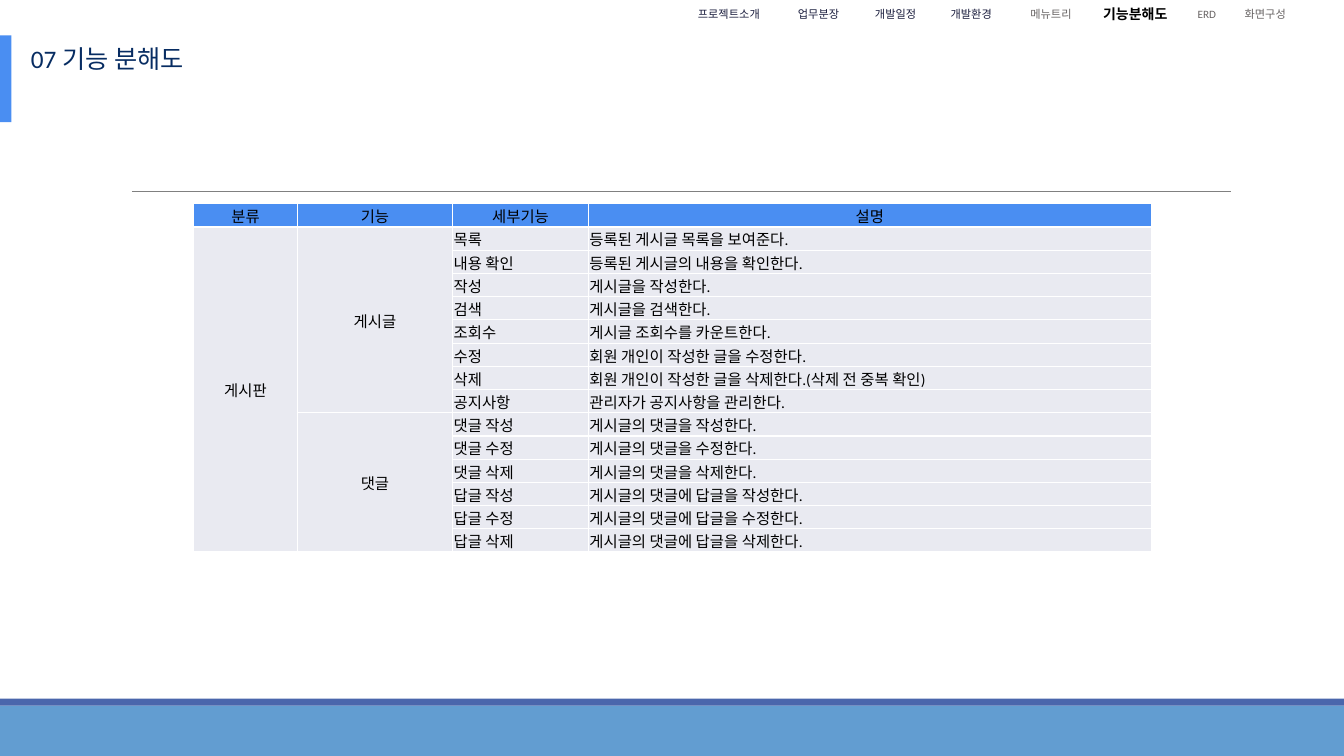
from dataclasses import dataclass

import pptx
import pptx.dml.color
import pptx.enum.shapes
import pptx.enum.text
import pptx.oxml
import pptx.oxml.ns
import pptx.util

Pt = pptx.util.Pt
Align = pptx.enum.text.PP_ALIGN
Anchor = pptx.enum.text.MSO_ANCHOR

FONT = "Calibri"
COLORS = {
    "footer": "629DD1", "footer_edge": "4A66AC", "rule": "808080",
    "accent": "4A8EF2", "title": "072C62", "visited": "1B1E3E",
    "upcoming": "686464", "black": "000000", "body": "E9EAF1",
    "white": "FFFFFF",
}


@dataclass
class Bar:
    left: float
    top: float
    width: float
    height: float
    color: str


@dataclass
class Label:
    text: str
    left: float
    top: float
    width: float
    height: float
    size: float
    color: str
    bold: bool = False
    inset: float = 0


@dataclass
class Feature:
    name: str
    details: list[tuple[str, str]]


BARS = [
    Bar(0, 504, 960, 36, "footer"),
    Bar(0, 499, 960, 5, "footer_edge"),
    Bar(0, 25.2, 8.2, 62, "accent"),
]

NAVIGATION = [
    ("프로젝트소개", 498.5, "visited"),
    ("업무분장", 570, "visited"),
    ("개발일정", 625, "visited"),
    ("개발환경", 679, "visited"),
    ("메뉴트리", 736, "upcoming"),
    ("기능분해도", 788, "black"),
    ("ERD", 855.5, "upcoming"),
    ("화면구성", 889, "upcoming"),
]
CURRENT_PAGE = "기능분해도"

HEADERS = ["분류", "기능", "세부기능", "설명"]
CATEGORY = "게시판"
FEATURES = [
    Feature("게시글", [
        ("목록", "등록된 게시글 목록을 보여준다."),
        ("내용 확인", "등록된 게시글의 내용을 확인한다."),
        ("작성", "게시글을 작성한다."),
        ("검색", "게시글을 검색한다."),
        ("조회수", "게시글 조회수를 카운트한다."),
        ("수정", "회원 개인이 작성한 글을 수정한다."),
        ("삭제", "회원 개인이 작성한 글을 삭제한다.(삭제 전 중복 확인)"),
        ("공지사항", "관리자가 공지사항을 관리한다."),
    ]),
    Feature("댓글", [
        ("댓글 작성", "게시글의 댓글을 작성한다."),
        ("댓글 수정", "게시글의 댓글을 수정한다."),
        ("댓글 삭제", "게시글의 댓글을 삭제한다."),
        ("답글 작성", "게시글의 댓글에 답글을 작성한다."),
        ("답글 수정", "게시글의 댓글에 답글을 수정한다."),
        ("답글 삭제", "게시글의 댓글에 답글을 삭제한다."),
    ]),
]
COLUMN_WIDTHS = [74, 111, 97, 402]
ROW_HEIGHT = 16.6


def rgb(name: str) -> pptx.dml.color.RGBColor:
    return pptx.dml.color.RGBColor.from_string(COLORS[name])


def format_runs(paragraph, size: float, color: str, bold: bool = False) -> None:
    for run in paragraph.runs:
        run.font.name = FONT
        run.font.size = Pt(size)
        run.font.bold = bold
        run.font.color.rgb = rgb(color)


def draw_bar(slide, bar: Bar) -> None:
    shape = slide.shapes.add_shape(
        pptx.enum.shapes.MSO_SHAPE.RECTANGLE,
        Pt(bar.left), Pt(bar.top), Pt(bar.width), Pt(bar.height))
    shape.shadow.inherit = False
    shape.fill.solid()
    shape.fill.fore_color.rgb = rgb(bar.color)
    shape.line.fill.background()


def draw_rule(slide, left: float, right: float, top: float) -> None:
    connector = slide.shapes.add_connector(
        pptx.enum.shapes.MSO_CONNECTOR.STRAIGHT,
        Pt(left), Pt(top), Pt(right), Pt(top))
    connector.line.color.rgb = rgb("rule")
    connector.line.width = Pt(0.5)
    connector._element.spPr.append(pptx.oxml.parse_xml(
        f"<a:effectLst {pptx.oxml.ns.nsdecls('a')}/>"))


def draw_label(slide, label: Label) -> None:
    shape = slide.shapes.add_textbox(
        Pt(label.left), Pt(label.top), Pt(label.width), Pt(label.height))
    frame = shape.text_frame
    frame.text = label.text
    frame.word_wrap = False
    frame.vertical_anchor = Anchor.MIDDLE
    frame.margin_left = frame.margin_right = Pt(label.inset)
    frame.margin_top = frame.margin_bottom = Pt(label.inset / 2)
    format_runs(frame.paragraphs[0], label.size, label.color, label.bold)


def style_cell(cell, fill: str, centered: bool) -> None:
    cell.margin_left = cell.margin_right = cell.margin_top = Pt(0.7)
    cell.margin_bottom = Pt(0)
    cell.vertical_anchor = Anchor.MIDDLE
    properties = cell._tc.get_or_add_tcPr()
    for side in ("lnL", "lnR", "lnT", "lnB"):
        properties.append(pptx.oxml.parse_xml(
            f"<a:{side} {pptx.oxml.ns.nsdecls('a')} w=\"{Pt(1)}\"><a:solidFill>"
            f"<a:srgbClr val=\"{COLORS['white']}\"/></a:solidFill></a:{side}>"))
    cell.fill.solid()
    cell.fill.fore_color.rgb = rgb(fill)
    paragraph = cell.text_frame.paragraphs[0]
    paragraph.alignment = Align.CENTER if centered else Align.LEFT
    paragraph.font.size = Pt(11)
    format_runs(paragraph, 11, "black")


def draw_feature_table(slide, left: float, top: float) -> None:
    row_count = 1 + sum(len(feature.details) for feature in FEATURES)
    table = slide.shapes.add_table(
        row_count, len(HEADERS), Pt(left), Pt(top),
        Pt(sum(COLUMN_WIDTHS)), Pt(ROW_HEIGHT * row_count)).table
    table.first_row = table.horz_banding = False
    for column, width in zip(table.columns, COLUMN_WIDTHS):
        column.width = Pt(width)
    for row in table.rows:
        row.height = Pt(ROW_HEIGHT)

    # Wording and merged groups
    for column, header in enumerate(HEADERS):
        table.cell(0, column).text = header
    table.cell(1, 0).text = CATEGORY
    table.cell(1, 0).merge(table.cell(row_count - 1, 0))
    first = 1
    for feature in FEATURES:
        last = first + len(feature.details) - 1
        table.cell(first, 1).text = feature.name
        table.cell(first, 1).merge(table.cell(last, 1))
        for row, (detail, description) in enumerate(feature.details, first):
            table.cell(row, 2).text = detail
            table.cell(row, 3).text = description
        first = last + 1

    # Cell styling
    for row in range(row_count):
        for column in range(len(HEADERS)):
            style_cell(table.cell(row, column), "body" if row else "accent",
                       centered=row == 0 or column < 2)


def main() -> None:
    presentation = pptx.Presentation()
    presentation.slide_width, presentation.slide_height = Pt(960), Pt(540)
    slide = presentation.slides.add_slide(presentation.slide_layouts[6])

    # Footer, accent bar and rule
    for bar in BARS:
        draw_bar(slide, bar)
    draw_rule(slide, 94.3, 879, 136.6)

    # Title and navigation
    draw_label(slide, Label("07 기능 분해도", 15, 27.4, 132.5, 29, 18, "title", inset=7.2))
    for text, left, color in NAVIGATION:
        current = text == CURRENT_PAGE
        draw_label(slide, Label(text, left, 2, 50, 16, 10 if current else 8, color, current))

    # Feature table
    draw_feature_table(slide, 138.4, 145.6)
    presentation.save("out.pptx")


if __name__ == "__main__":
    main()
